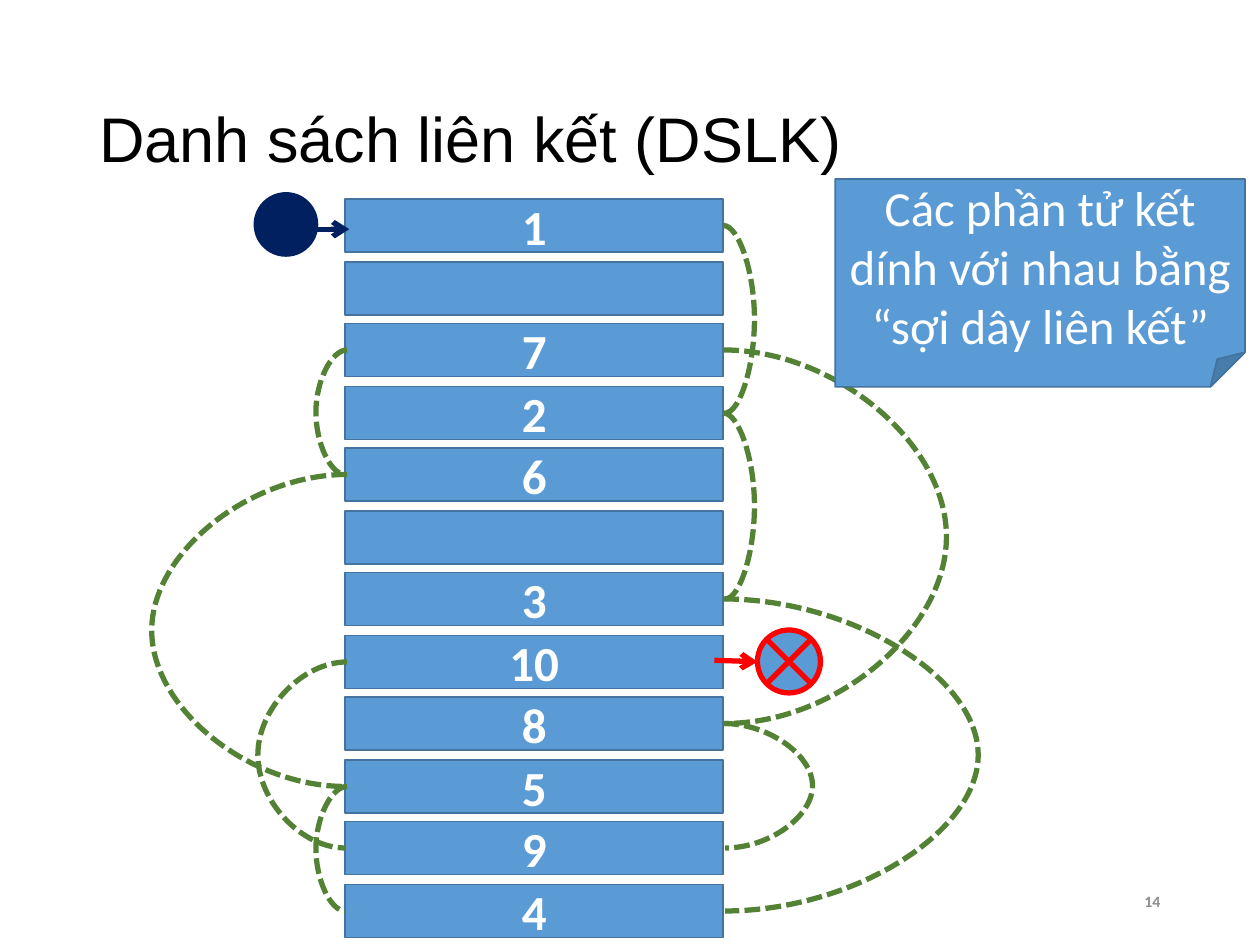
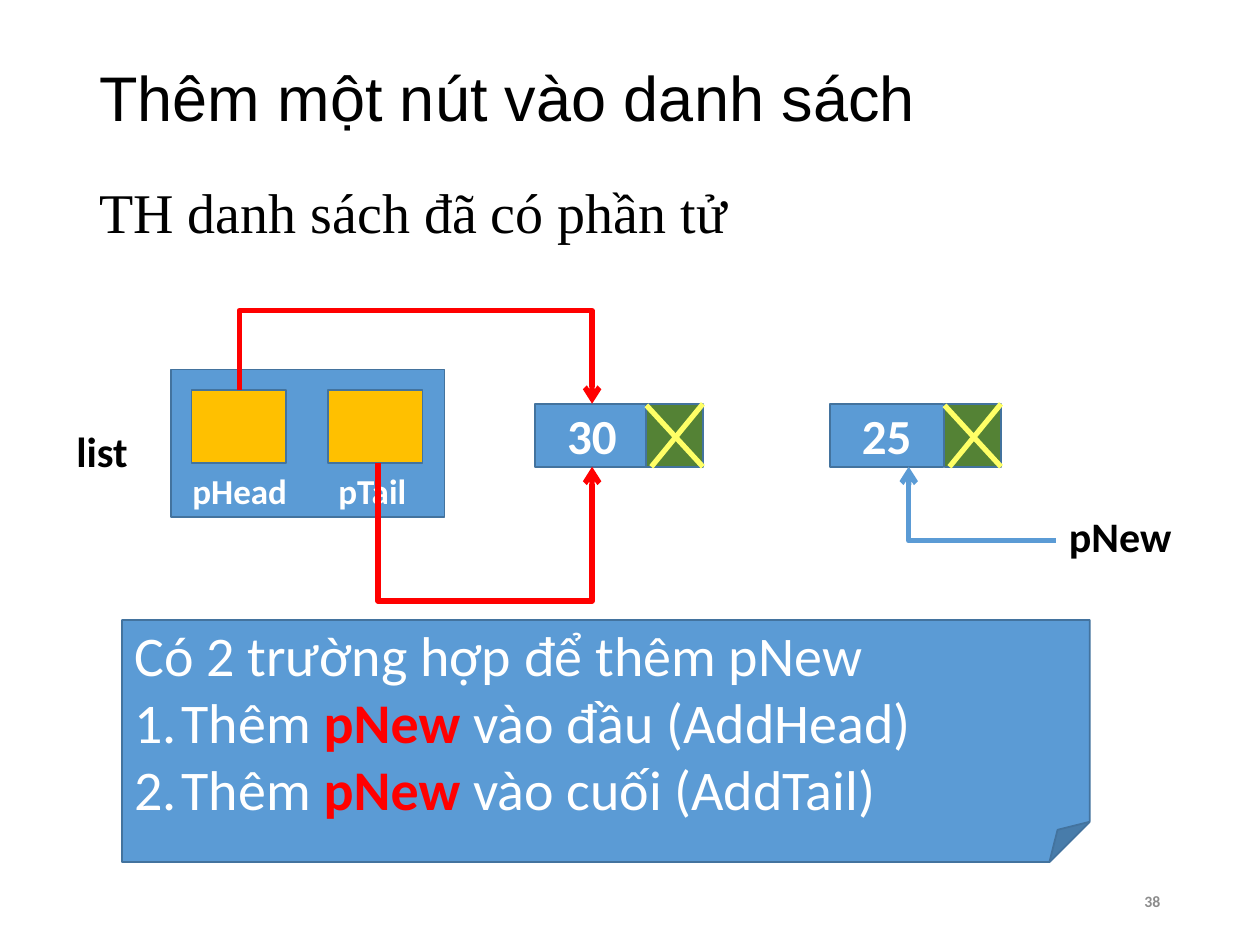
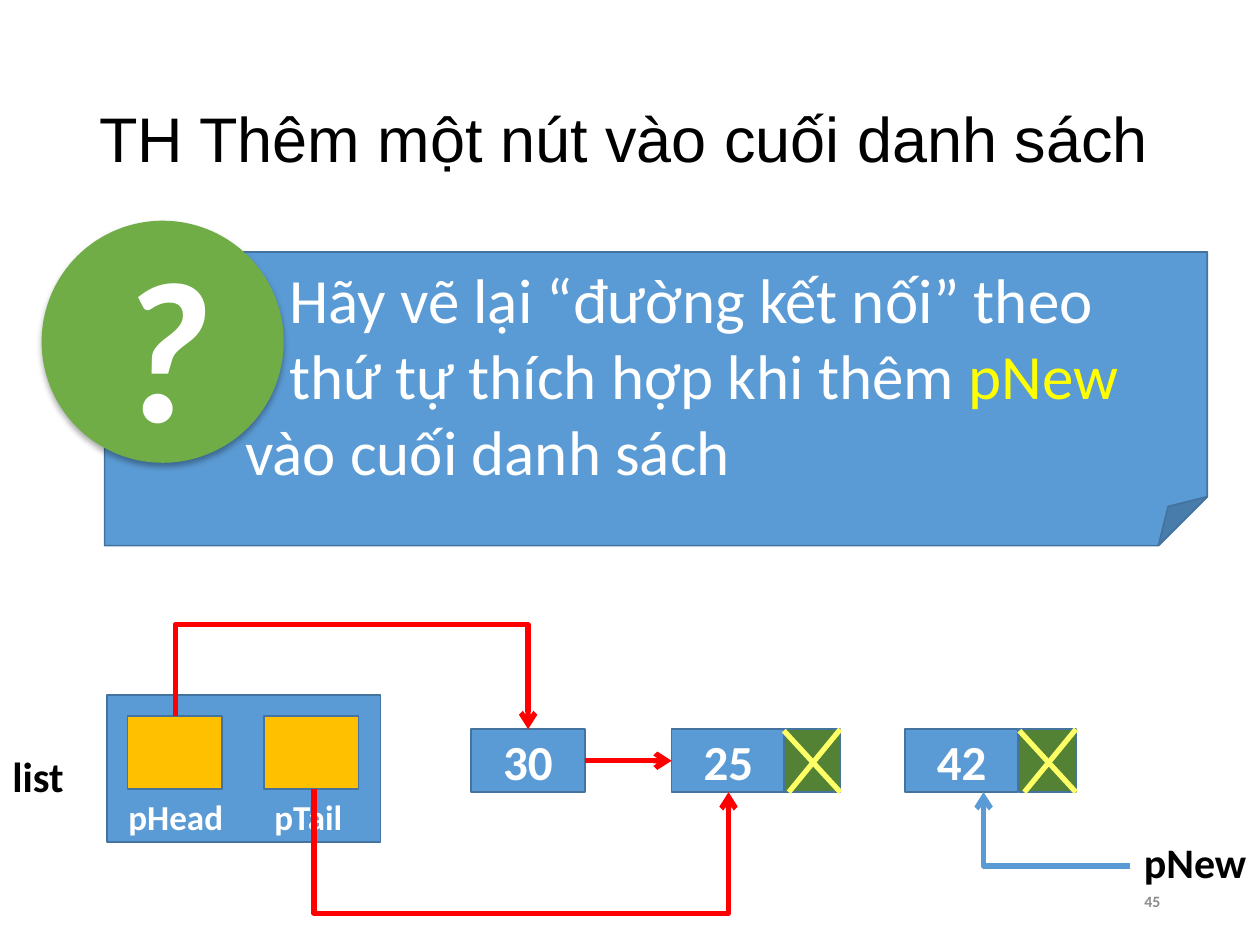
from lxml import etree
from pptx import Presentation
from pptx.dml.color import RGBColor
from pptx.enum.dml import MSO_LINE
from pptx.enum.shapes import MSO_CONNECTOR, MSO_SHAPE
from pptx.enum.text import MSO_ANCHOR, PP_ALIGN
from pptx.oxml.ns import qn
from pptx.util import Cm, Pt

RECTANGLE = MSO_SHAPE.RECTANGLE
OVAL = MSO_SHAPE.OVAL
FOLDED = MSO_SHAPE.FOLDED_CORNER
JUNCTION = MSO_SHAPE.FLOWCHART_SUMMING_JUNCTION
STRAIGHT = MSO_CONNECTOR.STRAIGHT
ELBOW = MSO_CONNECTOR.ELBOW
CURVE = MSO_CONNECTOR.CURVE
DASH = MSO_LINE.SQUARE_DOT
LEFT = PP_ALIGN.LEFT
CENTER = PP_ALIGN.CENTER
RIGHT = PP_ALIGN.RIGHT
TOP = MSO_ANCHOR.TOP
MIDDLE = MSO_ANCHOR.MIDDLE

BLUE = RGBColor(0x5B, 0x9B, 0xD5)
EDGE = RGBColor(0x43, 0x73, 0x9E)
NAVY = RGBColor(0x00, 0x20, 0x60)
DARK_GREEN = RGBColor(0x54, 0x82, 0x35)
GREEN = RGBColor(0x70, 0xAD, 0x47)
GOLD = RGBColor(0xFF, 0xC0, 0x00)
RED = RGBColor(0xFF, 0x00, 0x00)
YELLOW = RGBColor(0xFF, 0xFF, 0x00)
PALE_YELLOW = RGBColor(0xFF, 0xFF, 0x66)
WHITE = RGBColor(0xFF, 0xFF, 0xFF)
BLACK = RGBColor(0x00, 0x00, 0x00)
GRAY = RGBColor(0x8C, 0x8C, 0x8C)


def add_box(slide, preset, left, top, width, height, paragraphs=(), size=28, color=WHITE,
            bold=False, align=CENTER, anchor=MIDDLE, font="Calibri", wrap=True,
            fill=BLUE, edge=EDGE, edge_width=1):
    area = Cm(left), Cm(top), Cm(width), Cm(height)
    if preset is None:
        shape = slide.shapes.add_textbox(*area)
    else:
        shape = slide.shapes.add_shape(preset, *area)
        shape.shadow.inherit = False
        shape.fill.solid()
        shape.fill.fore_color.rgb = fill
        if edge is None:
            shape.line.fill.background()
        else:
            shape.line.color.rgb = edge
            shape.line.width = Pt(edge_width)
    frame = shape.text_frame
    frame.word_wrap = wrap
    frame.vertical_anchor = anchor
    for index, texts in enumerate(paragraphs):
        paragraph = frame.add_paragraph() if index else frame.paragraphs[0]
        paragraph.alignment = align
        for text in texts:
            run = paragraph.add_run()
            run.text = text
            run.font.name = font
            run.font.size = Pt(size)
            run.font.bold = bold
            run.font.color.rgb = color
    return shape


def add_line(slide, kind, x1, y1, x2, y2, color, arrow=False, dash=None, preset=None, bend=None):
    connector = slide.shapes.add_connector(kind, Cm(x1), Cm(y1), Cm(x2), Cm(y2))
    connector.line.color.rgb = color
    connector.line.width = Pt(3)
    if dash is not None:
        connector.line.dash_style = dash
    properties = connector._element.spPr
    if arrow:
        etree.SubElement(properties.find(qn("a:ln")), qn("a:tailEnd"), type="arrow")
    geometry = properties.find(qn("a:prstGeom"))
    if preset:
        geometry.set("prst", preset)
    if bend is not None:
        etree.SubElement(geometry.find(qn("a:avLst")), qn("a:gd"),
                         name="adj1", fmla=f"val {round(bend * 100000)}")
    etree.SubElement(properties, qn("a:effectLst"))
    return connector


presentation = Presentation()
presentation.slide_width = Cm(25.4)
presentation.slide_height = Cm(19.05)

slides = []
for title, title_top, number in [
    ("Danh sách liên kết (DSLK)", 1.02, "14"),
    ("Thêm một nút vào danh sách", 0.2, "38"),
    ("TH Thêm một nút vào cuối danh sách", 1.02, "45"),
]:
    slide = presentation.slides.add_slide(presentation.slide_layouts[6])
    title_box = add_box(slide, None, 1.75, title_top, 21.89, 3.68, [[title]], 36, BLACK,
                        align=LEFT, font="Arial")
    title_box.text_frame.paragraphs[0].line_spacing = 0.9
    add_box(slide, None, 16.81, 17.65, 6.83, 1.02, [[number]], 9, GRAY, True, RIGHT)
    slides.append(slide)
chain_slide, cases_slide, question_slide = slides

ROW_LEFT, ROW_WIDTH, ROW_HEIGHT = 6.96, 7.62, 1.07
ROW_RIGHT = ROW_LEFT + ROW_WIDTH
row_middles = {}
for index, value in enumerate([1, None, 7, 2, 6, None, 3, 10, 8, 5, 9, 4]):
    row_top = 4.01 + 2.51 * (index // 2) + 1.27 * (index % 2)
    texts = [[str(value)]] if value else []
    add_box(chain_slide, RECTANGLE, ROW_LEFT, row_top, ROW_WIDTH, ROW_HEIGHT, texts, bold=True)
    if value:
        row_middles[value] = row_top + ROW_HEIGHT / 2

ARC_WIDTH = 0.04
arcs = [("right", 0.63), ("right", 0.63), ("right", 5.14), ("left", 0.63), ("left", 3.94),
        ("left", 0.63), ("right", 4.5), ("right", 1.8), ("left", 1.8)]
for value, (side, reach) in enumerate(arcs, start=1):
    upper, lower = sorted([row_middles[value], row_middles[value + 1]])
    if side == "right":
        start, end = ROW_RIGHT, ROW_RIGHT + ARC_WIDTH
    else:
        start, end = ROW_LEFT + ARC_WIDTH, ROW_LEFT
    add_line(chain_slide, CURVE, start, upper, end, lower, DARK_GREEN, dash=DASH,
             bend=reach / ARC_WIDTH)

add_box(chain_slide, FOLDED, 16.84, 3.61, 8.26, 4.19,
        [["Các phần tử kết dính với nhau bằng “sợi dây liên kết”"]])
add_line(chain_slide, STRAIGHT, 6.3, 4.62, 7.04, 4.62, NAVY, arrow=True)
add_box(chain_slide, OVAL, 5.13, 3.89, 1.27, 1.27, fill=NAVY, edge=NAVY)
add_box(chain_slide, JUNCTION, 15.27, 12.7, 1.27, 1.27, edge=RED, edge_width=3)
add_line(chain_slide, STRAIGHT, 14.4, 13.31, 15.27, 13.34, RED, arrow=True)

subtitle = add_box(cases_slide, None, 1.75, 3.61, 22.38, 1.9, [["TH danh sách đã có phần tử"]],
                   32, BLACK, align=LEFT, anchor=TOP, font="Times New Roman")
subtitle.text_frame.paragraphs[0].line_spacing = 0.9

NODE_WIDTH, NODE_HEIGHT = 2.29, 1.27
NULL_WIDTH = 1.14
diagrams = [
    (cases_slide, 3.45, 7.45, -1.19, 4.67,
     [("30", 7.34, 2.24), ("25", 13.28, 2.31)]),
    (question_slide, 2.16, 14.01, -1.42, 4.4,
     [("30", 7.34, None), ("25", 11.38, 2.26), ("42", 16.08, 2.31)]),
]
for slide, left, top, head_bend, tail_bend, nodes in diagrams:
    add_box(slide, RECTANGLE, left, top, 5.51, 2.97)
    for cell_left in (0.41, 3.17):
        add_box(slide, RECTANGLE, left + cell_left, top + 0.42, 1.9, 1.47, fill=GOLD)
    for label, label_left, label_top, width, height, size, color in [
        ("pHead", 0.18, 1.9, 2.54, 1.12, 20, WHITE),
        ("pTail", 3.12, 1.9, 2.06, 1.12, 20, WHITE),
        ("list", -2.16, 1, 1.6, 1.27, 24, BLACK),
        ("pNew", nodes[-1][1] + 4.57, 2.72, 2.62, 1.27, 24, BLACK),
    ]:
        add_box(slide, None, left + label_left, top + label_top, width, height, [[label]],
                size, color, True, LEFT, TOP, wrap=False)

    node_top = top + 0.69
    node_bottom = node_top + NODE_HEIGHT
    node_boxes = []
    for value, node_left, null_offset in nodes:
        node_boxes.append(add_box(slide, RECTANGLE, left + node_left, node_top, NODE_WIDTH,
                                  NODE_HEIGHT, [[value]], bold=True))
        if null_offset is not None:
            null_left = left + node_left + null_offset
            null_right = null_left + NULL_WIDTH
            add_box(slide, RECTANGLE, null_left, node_top, NULL_WIDTH, NODE_HEIGHT,
                    fill=DARK_GREEN)
            add_line(slide, STRAIGHT, null_right, node_top, null_left + 0.1, node_bottom,
                     PALE_YELLOW)
            add_line(slide, STRAIGHT, null_left, node_top + 0.03, null_right, node_bottom,
                     PALE_YELLOW)
    for first, second in zip(node_boxes[:-2], node_boxes[1:-1]):
        link = add_line(slide, STRAIGHT, left, node_top, left, node_bottom, RED, arrow=True)
        link.begin_connect(first, 3)
        link.end_connect(second, 1)

    tail_node_left = nodes[max(0, len(nodes) - 2)][1]
    for start_x, start_y, node_left, end_y, bend_y in [
        (1.37, 0.42, nodes[0][1], 0.69, head_bend),
        (4.17, 1.89, tail_node_left, 1.96, tail_bend),
    ]:
        end_x = node_left + NODE_WIDTH / 2
        run_width, rise = end_x - start_x, end_y - start_y
        center_x = left + (start_x + end_x) / 2
        center_y = top + (start_y + end_y) / 2
        pointer = add_line(slide, ELBOW, center_x - rise / 2, center_y - run_width / 2,
                           center_x + rise / 2, center_y + run_width / 2, RED, arrow=True,
                           bend=(bend_y - start_y) / rise)
        transform = pointer._element.spPr.find(qn("a:xfrm"))
        transform.set("rot", "16200000")
        transform.set("flipH", "1")

    new_left = left + nodes[-1][1]
    add_line(slide, ELBOW, new_left + 4.55, top + 3.45, new_left + 1.59, node_bottom, BLUE,
             arrow=True, preset="bentConnector2")

cases_box = add_box(cases_slide, FOLDED, 2.46, 12.5, 19.51, 4.88, [
    ["Có 2 trường hợp để thêm pNew"],
    ["Thêm ", "pNew", " vào đầu (AddHead)"],
    ["Thêm ", "pNew", " vào cuối (AddTail)"],
], 32, align=LEFT)
for paragraph in cases_box.text_frame.paragraphs[1:]:
    numbering = paragraph._p.get_or_add_pPr()
    numbering.set("marL", str(Cm(0.95)))
    numbering.set("indent", str(Cm(-0.95)))
    etree.SubElement(numbering, qn("a:buFontTx"))
    etree.SubElement(numbering, qn("a:buAutoNum"), type="arabicPeriod")
    paragraph.runs[1].font.bold = True
    paragraph.runs[1].font.color.rgb = RED

question_box = add_box(question_slide, FOLDED, 2.11, 5.08, 22.23, 5.92, [
    ["Hãy vẽ lại “đường kết nối” theo"],
    ["thứ tự thích hợp khi thêm ", "pNew"],
    ["vào cuối danh sách"],
], 36, align=LEFT)
for paragraph, indent in zip(question_box.text_frame.paragraphs, (3.47, 3.47, 2.58)):
    paragraph._p.get_or_add_pPr().set("marL", str(Cm(indent)))
question_box.text_frame.paragraphs[1].runs[1].font.color.rgb = YELLOW

question_mark = add_box(question_slide, OVAL, 0.84, 4.45, 4.88, 4.88, [["?"]], 115, bold=True,
                        fill=GREEN, edge=None)
question_mark.text_frame.paragraphs[0].runs[0].font.italic = True
effects = question_mark._element.spPr.find(qn("a:effectLst"))
shadow = etree.SubElement(effects, qn("a:outerShdw"), blurRad=str(Pt(3.5)), dist=str(Pt(2.2)),
                          dir="5400000", rotWithShape="0")
shadow_color = etree.SubElement(shadow, qn("a:srgbClr"), val=str(BLACK))
etree.SubElement(shadow_color, qn("a:alpha"), val="32000")

presentation.save("out.pptx")
